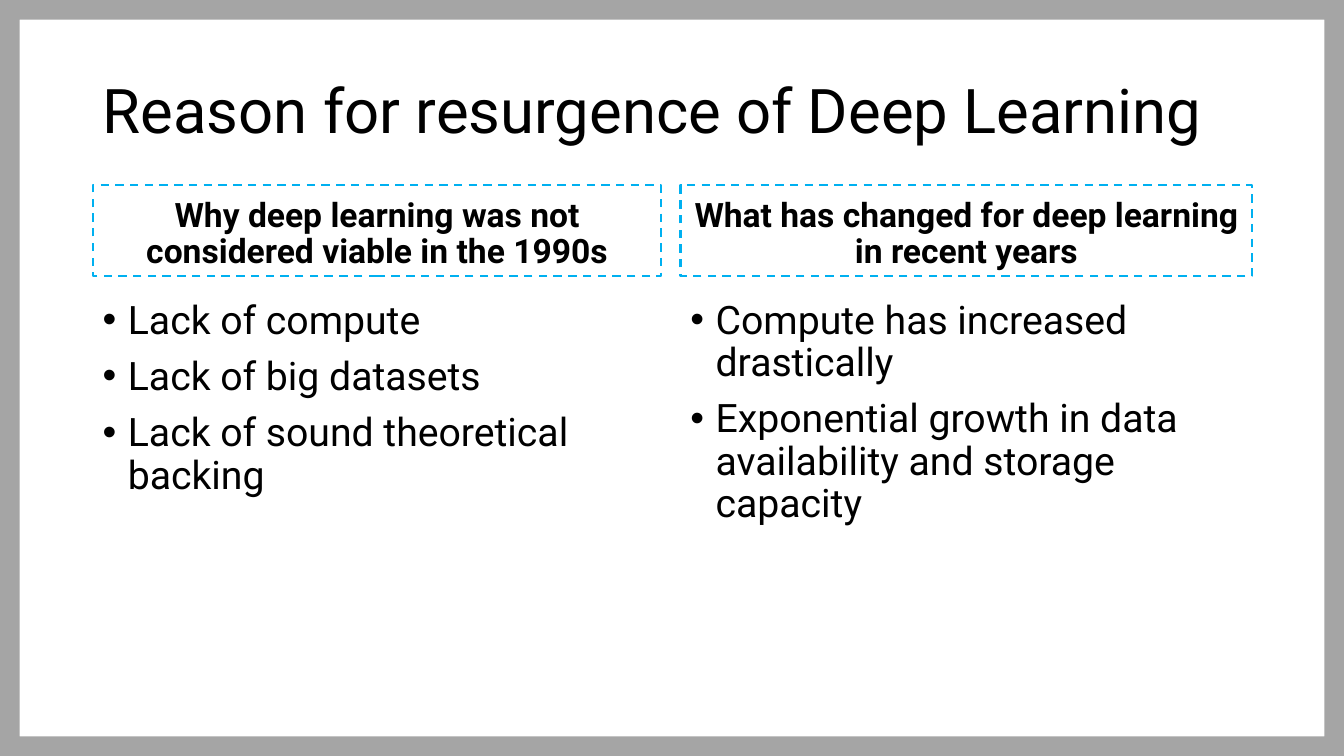
from lxml.etree import SubElement
from pptx import Presentation
from pptx.dml.color import RGBColor
from pptx.enum.dml import MSO_LINE
from pptx.enum.shapes import MSO_SHAPE
from pptx.enum.text import MSO_ANCHOR, MSO_AUTO_SIZE, PP_ALIGN
from pptx.oxml.ns import qn
from pptx.util import Inches, Pt

TITLE = "Reason for resurgence of Deep Learning"
COLUMNS = [
    {
        "heading": "Why deep learning was not considered viable in the 1990s",
        "points": [
            "Lack of compute",
            "Lack of big datasets",
            "Lack of sound theoretical backing",
        ],
        "left": 0.92,
        "width": 5.64,
    },
    {
        "heading": "What has changed for deep learning in recent years",
        "points": [
            "Compute has increased drastically",
            "Exponential growth in data availability and storage capacity",
        ],
        "left": 6.75,
        "width": 5.67,
    },
]

WIDTH, HEIGHT = 13.33, 7.5
HEADING_TOP, HEADING_HEIGHT = 1.84, 0.9
POINTS_TOP, POINTS_HEIGHT = 2.93, 4.03
INDENT = Inches(0.25)
BLACK, GREY, BLUE = "000000", "A5A5A5", "00B0F0"

TITLE_FONT = {"name": "Roboto", "size": Pt(44), "bold": False}
HEADING_FONT = {"name": "Roboto", "size": Pt(24), "bold": True}
POINT_FONT = {"name": "Roboto", "size": Pt(28), "bold": False}


def paint(color_format, hex_color):
    color_format.rgb = RGBColor.from_string(hex_color)


def add_bullet(paragraph):
    props = paragraph._p.get_or_add_pPr()
    props.set("marL", str(INDENT))
    props.set("indent", str(-INDENT))
    SubElement(props, qn("a:buFont")).set("typeface", "Arial")
    SubElement(props, qn("a:buChar")).set("char", "•")


def write(shape, lines, font, anchor, align=PP_ALIGN.LEFT, bulleted=False):
    frame = shape.text_frame
    frame.word_wrap = True
    frame.auto_size = MSO_AUTO_SIZE.NONE
    frame.vertical_anchor = anchor
    for i, line in enumerate(lines):
        paragraph = frame.add_paragraph() if i else frame.paragraphs[0]
        paragraph.text = line
        paragraph.alignment = align
        paragraph.line_spacing = 0.9
        paragraph.space_before = Pt(10 if i else 0)
        if bulleted:
            add_bullet(paragraph)
        for name, value in font.items():
            setattr(paragraph.font, name, value)
        paint(paragraph.font.color, BLACK)


def add_border(slide):
    border = slide.shapes.add_shape(
        MSO_SHAPE.FRAME, 0, 0, Inches(WIDTH), Inches(HEIGHT))
    border.adjustments[0] = 0.026
    border.shadow.inherit = False
    border.fill.solid()
    paint(border.fill.fore_color, GREY)
    border.line.fill.background()


def place_title(slide):
    title = slide.shapes.title
    title.left, title.top = Inches(0.92), Inches(0.4)
    title.width, title.height = Inches(11.5), Inches(1.45)
    write(title, [TITLE], TITLE_FONT, MSO_ANCHOR.MIDDLE)


def add_column(slide, column):
    left, width = Inches(column["left"]), Inches(column["width"])
    heading = slide.shapes.add_shape(
        MSO_SHAPE.RECTANGLE, left, Inches(HEADING_TOP), width, Inches(HEADING_HEIGHT))
    heading.shadow.inherit = False
    heading.fill.background()
    paint(heading.line.color, BLUE)
    heading.line.width = Pt(1.5)
    heading.line.dash_style = MSO_LINE.DASH
    write(heading, [column["heading"]], HEADING_FONT, MSO_ANCHOR.BOTTOM,
          align=PP_ALIGN.CENTER)

    points = slide.shapes.add_textbox(
        left, Inches(POINTS_TOP), width, Inches(POINTS_HEIGHT))
    write(points, column["points"], POINT_FONT, MSO_ANCHOR.TOP, bulleted=True)


def main():
    deck = Presentation()
    deck.slide_width, deck.slide_height = Inches(WIDTH), Inches(HEIGHT)
    slide = deck.slides.add_slide(deck.slide_layouts[5])
    add_border(slide)
    place_title(slide)
    for column in COLUMNS:
        add_column(slide, column)
    deck.save("out.pptx")


if __name__ == "__main__":
    main()
